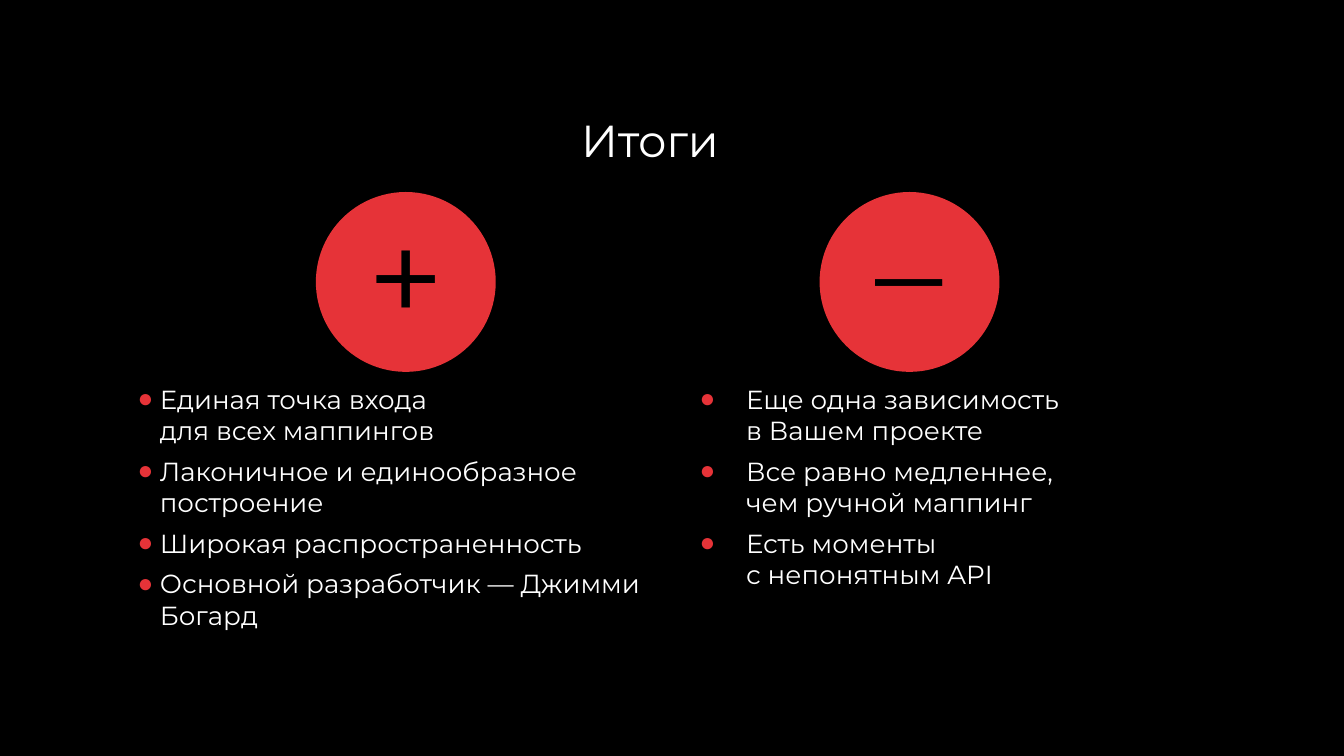
import copy

import lxml.etree
import pptx
import pptx.dml.color
import pptx.enum.shapes
import pptx.enum.text
import pptx.oxml.ns
import pptx.util

Cm = pptx.util.Cm
Pt = pptx.util.Pt
ALIGN = pptx.enum.text.PP_ALIGN
ANCHOR = pptx.enum.text.MSO_ANCHOR
FONT = "Montserrat"
BLACK, WHITE, RED = "000000", "FFFFFF", "E63338"
CIRCLE_SIZE = 3.4
SIGN_WIDTH, SIGN_HEIGHT = 2.82, 2.24
LIST_OFFSET = 3.51

PROS = [
    "Единая точка входа \vдля всех маппингов",
    "Лаконичное и единообразное построение",
    "Широкая распространенность",
    "Основной разработчик — Джимми Богард",
]
CONS = [
    "Еще одна зависимость \vв Вашем проекте",
    "Все равно медленнее, \vчем ручной маппинг",
    "Есть моменты \vс непонятным API",
]


def set_fill(fill, color):
    """Give a fill one solid colour from a hex string."""
    fill.solid()
    fill.fore_color.rgb = pptx.dml.color.RGBColor.from_string(color)


def place(shape, left, top, width, height):
    """Move and size a shape in centimetres."""
    shape.left, shape.top = Cm(left), Cm(top)
    shape.width, shape.height = Cm(width), Cm(height)


def set_bullet(paragraph, indent, hanging):
    """Add a red round bullet with a hanging indent in centimetres."""
    properties = paragraph._p.get_or_add_pPr()
    properties.set("marL", str(Cm(indent)))
    properties.set("indent", str(-Cm(hanging)))
    qn = pptx.oxml.ns.qn
    bullet_color = lxml.etree.SubElement(properties, qn("a:buClr"))
    lxml.etree.SubElement(bullet_color, qn("a:srgbClr")).set("val", RED)
    lxml.etree.SubElement(properties, qn("a:buChar")).set("char", "●")


def write_text(shape, paragraphs, size, color=WHITE, align=ALIGN.LEFT, anchor=ANCHOR.TOP,
               spacing=1.0, before=0, margins=(0.18, 0.1), bullet=None):
    """Fill a shape with formatted paragraphs."""
    frame = shape.text_frame
    frame.word_wrap = True
    frame.auto_size = pptx.enum.text.MSO_AUTO_SIZE.NONE
    frame.vertical_anchor = anchor
    frame.margin_left = frame.margin_right = Cm(margins[0])
    frame.margin_top = frame.margin_bottom = Cm(margins[1])
    for index, text in enumerate(paragraphs):
        paragraph = frame.add_paragraph() if index else frame.paragraphs[0]
        paragraph.text = text
        paragraph.alignment = align
        paragraph.line_spacing = spacing
        paragraph.space_before, paragraph.space_after = Pt(before), Pt(0)
        if bullet:
            set_bullet(paragraph, *bullet)
        for run in paragraph.runs:
            run.font.name, run.font.size = FONT, Pt(size)
            set_fill(run.font.fill, color)
        for line_break in paragraph._p.findall(pptx.oxml.ns.qn("a:br")):
            line_break.append(copy.deepcopy(paragraph.runs[0]._r.rPr))


def add_title(slide, text, left, top, width, height):
    """Place the slide title in the given box."""
    title = slide.shapes.title
    place(title, left, top, width, height)
    write_text(title, [text], 24, align=ALIGN.CENTER, anchor=ANCHOR.MIDDLE)


def add_column(slide, body, items, sign, left, top, width, height,
               circle_offset, sign_offset, bullet):
    """Place a signed circle and the list under it in the given box."""
    place(body, left, top + LIST_OFFSET, width, height - LIST_OFFSET)
    write_text(body, items, 14, before=5, bullet=bullet)

    circle_left = left + circle_offset
    circle = slide.shapes.add_shape(
        pptx.enum.shapes.MSO_SHAPE.OVAL,
        Cm(circle_left), Cm(top), Cm(CIRCLE_SIZE), Cm(CIRCLE_SIZE))
    circle.shadow.inherit = False
    set_fill(circle.fill, RED)
    circle.line.fill.background()

    sign_left = circle_left + (CIRCLE_SIZE - SIGN_WIDTH) / 2
    sign_box = slide.shapes.add_textbox(
        Cm(sign_left), Cm(top + sign_offset), Cm(SIGN_WIDTH), Cm(SIGN_HEIGHT))
    write_text(sign_box, [sign], 72, color=BLACK, align=ALIGN.CENTER,
               spacing=0.7, margins=(0.25, 0.25))


def main():
    """Build and save the summary slide."""
    presentation = pptx.Presentation()
    presentation.slide_width, presentation.slide_height = Cm(25.4), Cm(14.29)
    slide = presentation.slides.add_slide(presentation.slide_layouts.get_by_name("Two Content"))
    set_fill(slide.background.fill, BLACK)

    add_title(slide, "Итоги", 2.06, 1.96, 20.45, 1.35)
    add_column(slide, slide.placeholders[1], PROS, "+", 2.34, 3.63, 10, 8.92,
               circle_offset=3.63, sign_offset=0.59, bullet=(0.5, 0.42))
    add_column(slide, slide.placeholders[2], CONS, "–", 12.65, 3.63, 10, 9.4,
               circle_offset=2.84, sign_offset=0.46, bullet=(1.27, 0.88))
    presentation.save("out.pptx")


if __name__ == "__main__":
    main()
